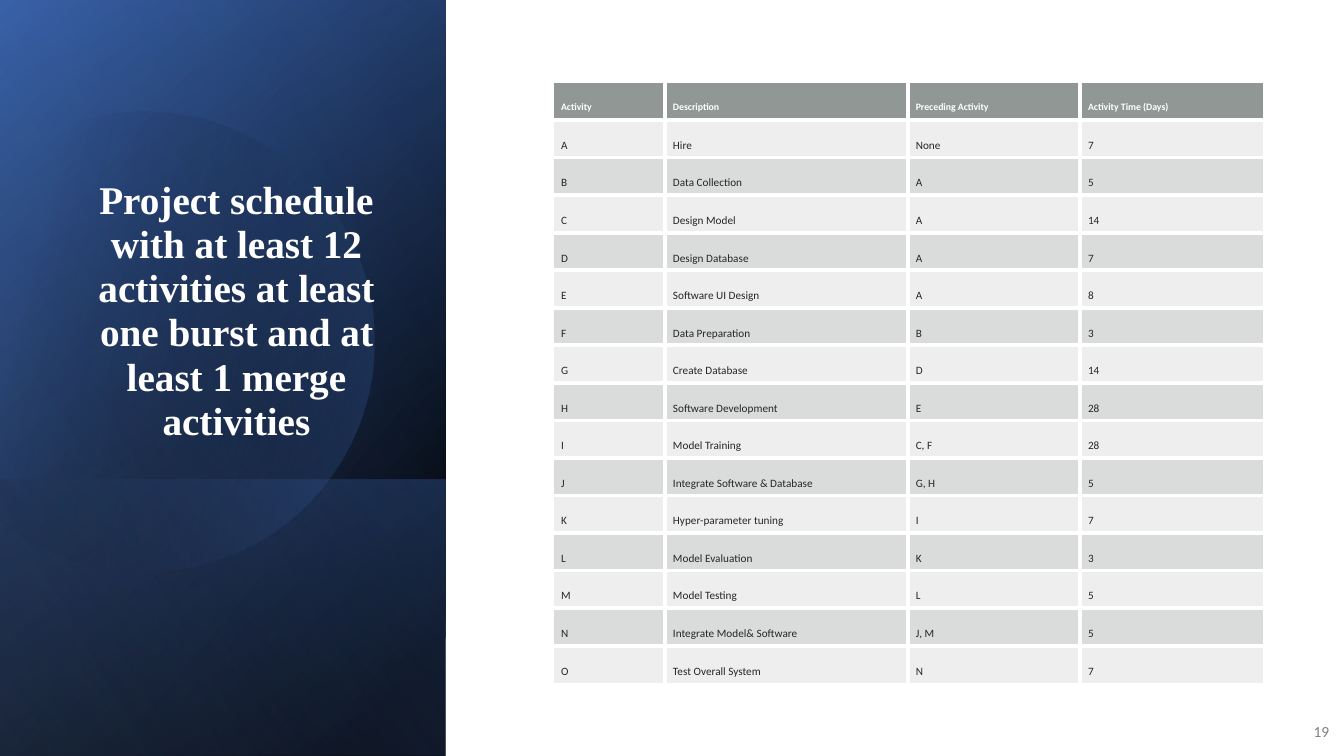
from collections import namedtuple
from dataclasses import dataclass
from math import cos, radians, sin

from lxml import etree
from pptx import Presentation
from pptx.dml.color import RGBColor
from pptx.enum.shapes import MSO_SHAPE as Shape
from pptx.enum.text import MSO_ANCHOR as Anchor, MSO_AUTO_SIZE as AutoSize, PP_ALIGN as Align
from pptx.oxml.ns import qn
from pptx.util import Cm, Pt

Box = namedtuple("Box", "left top width height")  # centimetres
Stop = namedtuple("Stop", "position color opacity")


@dataclass(frozen=True)
class Theme:
    white: str = "FFFFFF"
    black: str = "000000"
    navy: str = "2F5597"
    blue: str = "4472C4"
    pale_blue: str = "8FAADC"
    header_fill: str = "636B68"
    row_fill: str = "878E8B"
    ink: str = "262626"
    grey: str = "808080"
    title_font: str = "Times New Roman"
    body_font: str = "Calibri"
    title_size: int = 28
    number_size: int = 11
    header_size: int = 7
    cell_size: int = 8
    border: int = 3


THEME = Theme()
SLIDE = Box(0, 0, 33.87, 19.05)
PANEL = Box(0, 0, 11.23, 19.05)
TITLE = Box(1.63, 4.67, 8.66, 6.65)
SCHEDULE = Box(13.94, 2.08, 17.9, 15.14)
NUMBER = Box(32.51, 17.93, 1.24, 1.02)

TITLE_TEXT = ("Project schedule with at least 12 activities at least "
              "one burst and at least 1 merge activities")
COLUMN_WIDTHS = (2.82, 6.12, 4.34, 4.62)
ACTIVITIES = [
    ("Activity", "Description", "Preceding Activity", "Activity Time (Days)"),
    ("A", "Hire", "None", "7"),
    ("B", "Data Collection", "A", "5"),
    ("C", "Design Model", "A", "14"),
    ("D", "Design Database", "A", "7"),
    ("E", "Software UI Design", "A", "8"),
    ("F", "Data Preparation", "B", "3"),
    ("G", "Create Database", "D", "14"),
    ("H", "Software Development", "E", "28"),
    ("I", "Model Training", "C, F", "28"),
    ("J", "Integrate Software & Database", "G, H", "5"),
    ("K", "Hyper-parameter tuning", "I", "7"),
    ("L", "Model Evaluation", "K", "3"),
    ("M", "Model Testing", "L", "5"),
    ("N", "Integrate Model& Software", "J, M", "5"),
    ("O", "Test Overall System", "N", "7"),
]


def lengths(box):
    return [Cm(value) for value in box]


def set_font(para, name, size, color, bold=False):
    font = para.font
    font.name, font.size, font.bold = name, Pt(size), bold
    font.color.rgb = RGBColor.from_string(color)


def add_color(parent, color, opacity=100):
    node = etree.SubElement(parent, qn("a:srgbClr"), val=color)
    if opacity < 100:
        etree.SubElement(node, qn("a:alpha"), val=str(opacity * 1000))


def fill_gradient(shape, angle, stops):
    shape.shadow.inherit = False
    shape.line.fill.background()
    shape.fill.background()
    properties = shape._element.spPr
    gradient = etree.Element(qn("a:gradFill"), rotWithShape="1")
    stop_list = etree.SubElement(gradient, qn("a:gsLst"))
    for stop in stops:
        node = etree.SubElement(stop_list, qn("a:gs"), pos=str(stop.position * 1000))
        add_color(node, stop.color, stop.opacity)
    etree.SubElement(gradient, qn("a:lin"), ang=str(angle * 60000), scaled="0")
    properties.replace(properties.find(qn("a:noFill")), gradient)


def add_layer(page, box, angle, stops):
    """Gradient rectangle, mirrored and turned a quarter, that covers the box."""
    left = box.left + (box.width - box.height) / 2
    top = box.top + (box.height - box.width) / 2
    layer = page.shapes.add_shape(
        Shape.RECTANGLE, *lengths(Box(left, top, box.height, box.width)))
    layer.rotation = 90
    layer._element.spPr.find(qn("a:xfrm")).set("flipH", "1")
    fill_gradient(layer, angle, stops)


def add_disc(page, box):
    """Tilted disc, cut off by a chord on its left."""
    center_x, center_y, radius = box.left + 3.63, box.top + 8.5, 5.79
    start, end, steps = -117.8, 150, 120
    angles = [radians(start + (end - start) * i / steps) for i in range(steps + 1)]
    points = [(Cm(center_x + radius * cos(a)), Cm(center_y + radius * sin(a)))
              for a in angles]
    builder = page.shapes.build_freeform(*points[0])
    builder.add_line_segments(points[1:], close=True)
    disc = builder.convert_to_shape()
    disc.rotation = 343.9
    fill_gradient(disc, 30, [Stop(29, THEME.black, 0), Stop(100, THEME.blue, 43)])


def add_panel(page, box):
    foot_height = 6.96
    foot = Box(box.left, box.top + box.height - foot_height, box.width, foot_height)
    add_layer(page, box, 50, [Stop(8, THEME.black, 100), Stop(100, THEME.navy, 100)])
    add_layer(page, box, 30, [Stop(0, THEME.black, 0), Stop(99, THEME.blue, 46)])
    add_layer(page, foot, 130, [Stop(2, THEME.blue, 29), Stop(100, THEME.black, 30)])
    add_disc(page, box)
    add_layer(page, box, 120, [Stop(0, THEME.black, 0), Stop(99, THEME.pale_blue, 11)])


def place_title(page, box):
    title = page.shapes.title
    title.left, title.top, title.width, title.height = lengths(box)
    page.shapes._spTree.append(title._element)  # in front of the panel
    frame = title.text_frame
    frame.text = TITLE_TEXT
    frame.word_wrap = True
    frame.auto_size = AutoSize.NONE
    frame.vertical_anchor = Anchor.BOTTOM
    para = frame.paragraphs[0]
    para.alignment = Align.CENTER
    para.line_spacing = 0.94
    set_font(para, THEME.title_font, THEME.title_size, THEME.white, bold=True)


def add_page_number(page, box):
    frame = page.shapes.add_textbox(*lengths(box)).text_frame
    frame.text = "19"
    frame.word_wrap = True
    frame.vertical_anchor = Anchor.MIDDLE
    para = frame.paragraphs[0]
    para.alignment = Align.RIGHT
    set_font(para, THEME.body_font, THEME.number_size, THEME.grey)


def paint_cell(cell, sides, color, opacity):
    properties = cell._tc.get_or_add_tcPr()
    for side in sides:
        line = etree.SubElement(properties, qn(f"a:ln{side}"), w=str(Pt(THEME.border)))
        add_color(etree.SubElement(line, qn("a:solidFill")), THEME.white)
    add_color(etree.SubElement(properties, qn("a:solidFill")), color, opacity)


def add_schedule(page, box):
    last_row, last_column = len(ACTIVITIES) - 1, len(COLUMN_WIDTHS) - 1
    table = page.shapes.add_table(last_row + 1, last_column + 1, *lengths(box)).table
    for column, width in zip(table.columns, COLUMN_WIDTHS):
        column.width = Cm(width)
    for r, activity in enumerate(ACTIVITIES):
        table.rows[r].height = Cm(box.height / len(ACTIVITIES))
        header = r == 0
        for c, text in enumerate(activity):
            cell = table.cell(r, c)
            cell.text = text
            cell.vertical_anchor = Anchor.BOTTOM
            cell.margin_left, cell.margin_right = Cm(0.2), Cm(0.13)
            cell.margin_top, cell.margin_bottom = Cm(0.13), Cm(0.17 if header else 0.13)
            inner = {"L": c > 0, "R": c < last_column, "T": r > 0, "B": r < last_row}
            sides = [side for side, drawn in inner.items() if drawn]
            para = cell.text_frame.paragraphs[0]
            if header:
                paint_cell(cell, sides, THEME.header_fill, 70)
                set_font(para, THEME.body_font, THEME.header_size, THEME.white, bold=True)
            else:
                paint_cell(cell, sides, THEME.row_fill, 15 if r % 2 else 30)
                set_font(para, THEME.body_font, THEME.cell_size, THEME.ink)


def main():
    deck = Presentation()
    deck.slide_width, deck.slide_height = Cm(SLIDE.width), Cm(SLIDE.height)
    page = deck.slides.add_slide(deck.slide_layouts.get_by_name("Title Only"))
    add_panel(page, PANEL)
    place_title(page, TITLE)
    add_page_number(page, NUMBER)
    add_schedule(page, SCHEDULE)
    deck.save("out.pptx")


if __name__ == "__main__":
    main()
